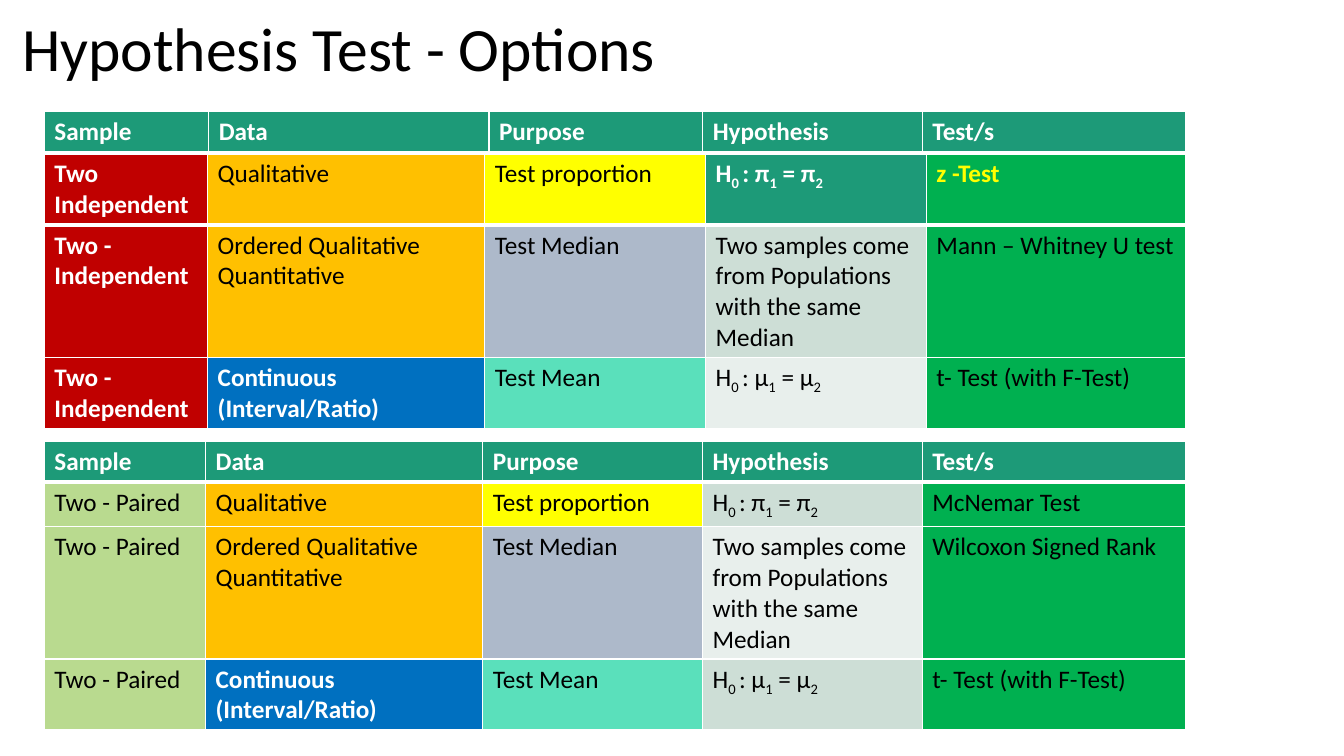
from dataclasses import dataclass

from lxml.etree import SubElement
from pptx import Presentation
from pptx.dml.color import RGBColor
from pptx.enum.text import MSO_ANCHOR as Anchor
from pptx.oxml.ns import qn
from pptx.util import Inches, Pt

FONT = "Calibri"
BLACK, WHITE, YELLOW = "000000", "FFFFFF", "FFFF00"
TEAL, RED, ORANGE, BLUE = "1D9A78", "C00000", "FFC000", "0070C0"
GREEN, LIME, SLATE, MINT = "00B050", "B9DA8F", "ADB9CA", "5AE0BB"
BAND_DARK, BAND_LIGHT = "CDDED6", "E8EFEC"
SLIDE_WIDTH, SLIDE_HEIGHT = Inches(13.33), Inches(7.5)
TABLE_LEFT = 3.3


@dataclass(frozen=True)
class Entry:
    text: str
    fill: str
    color: str = BLACK
    bold: bool = False


@dataclass(frozen=True)
class Grid:
    top: float
    columns: tuple[float, ...]
    rows: tuple[float, ...]
    entries: list[list[Entry]]


def across(percent: float) -> int:
    return round(SLIDE_WIDTH * percent / 100)


def down(percent: float) -> int:
    return round(SLIDE_HEIGHT * percent / 100)


def rgb(value: str) -> RGBColor:
    return RGBColor.from_string(value)


def style_font(font, size: float, color: str, bold: bool = False) -> None:
    font.name = FONT
    font.size = Pt(size)
    font.bold = bold
    font.color.rgb = rgb(color)


def add_border(cell, side: str, width: float) -> None:
    properties = cell._tc.get_or_add_tcPr()
    line = SubElement(properties, qn(f"a:ln{side}"), w=str(Pt(width)))
    fill = SubElement(line, qn("a:solidFill"))
    SubElement(fill, qn("a:srgbClr"), val=WHITE)


def write_entry(cell, entry: Entry) -> None:
    frame = cell.text_frame
    for index, line in enumerate(entry.text.split("\n")):
        para = frame.add_paragraph() if index else frame.paragraphs[0]
        style_font(para.font, 18, entry.color, entry.bold)
        for position, part in enumerate(line.split("~")):
            span = para.add_run()
            span.text = part
            if position % 2:
                span._r.get_or_add_rPr().set("baseline", "-25000")


def draw_grid(page, grid: Grid) -> None:
    table = page.shapes.add_table(
        len(grid.rows), len(grid.columns), across(TABLE_LEFT), down(grid.top),
        across(sum(grid.columns)), down(sum(grid.rows))).table
    table.first_row = False
    table.horz_banding = False
    for column, width in zip(table.columns, grid.columns):
        column.width = across(width)
    for index, (row, height) in enumerate(zip(table.rows, grid.rows)):
        row.height = down(height)
        widths = {"L": 1, "R": 1, "T": 3 if index == 1 else 1, "B": 1 if index else 3}
        for cell, entry in zip(row.cells, grid.entries[index]):
            for side, width in widths.items():
                add_border(cell, side, width)
            cell.fill.solid()
            cell.fill.fore_color.rgb = rgb(entry.fill)
            write_entry(cell, entry)


def add_title(page, text: str) -> None:
    box = page.shapes.add_textbox(across(0.9), down(1.2), across(86.27), down(11.2))
    frame = box.text_frame
    frame.word_wrap = True
    frame.vertical_anchor = Anchor.MIDDLE
    para = frame.paragraphs[0]
    para.line_spacing = 0.9
    style_font(para.font, 44, BLACK)
    para.add_run().text = text


def sample_rows(samples: list[Entry], proportion: Entry, median_fill: str,
                mean_fill: str, tests: list[Entry]) -> list[list[Entry]]:
    middles = [
        [Entry("Qualitative", ORANGE), Entry("Test proportion", YELLOW), proportion],
        [Entry("Ordered Qualitative\nQuantitative", ORANGE), Entry("Test Median", SLATE),
         Entry("Two samples come from Populations with the same Median", median_fill)],
        [Entry("Continuous (Interval/Ratio)", BLUE, WHITE, True), Entry("Test Mean", MINT),
         Entry("H~0 ~: μ~1~ = μ~2", mean_fill)],
    ]
    return [[sample, *middle, test] for sample, middle, test in zip(samples, middles, tests)]


PROPORTIONS = "H~0 ~: π~1~ = π~2"
HEADER = [Entry(name, TEAL, WHITE, True)
          for name in ("Sample", "Data", "Purpose", "Hypothesis", "Test/s")]
T_TEST = Entry("t- Test (with F-Test)", GREEN)
INDEPENDENT = sample_rows(
    [Entry(name, RED, WHITE, True)
     for name in ("Two Independent", "Two - Independent", "Two - Independent")],
    Entry(PROPORTIONS, TEAL, WHITE, True), BAND_DARK, BAND_LIGHT,
    [Entry("z -Test", GREEN, YELLOW, True), Entry("Mann – Whitney U test", GREEN), T_TEST])
PAIRED = sample_rows(
    [Entry("Two - Paired", LIME)] * 3, Entry(PROPORTIONS, BAND_DARK), BAND_LIGHT, BAND_DARK,
    [Entry("McNemar Test", GREEN), Entry("Wilcoxon Signed Rank", GREEN), T_TEST])

GRIDS = [
    Grid(58.4, (12, 20.63, 16.35, 16.35, 19.58), (5.4, 5.8, 17.5, 9.4), [HEADER, *PAIRED]),
    Grid(20.27, (12.15, 20.63, 16.43, 16.43, 19.28), (9.5, 17.5, 9.4), INDEPENDENT),
    Grid(14.8, (12.23, 20.86, 15.9, 16.35, 19.58), (5.4,), [HEADER]),
]


def main() -> None:
    deck = Presentation()
    deck.slide_width, deck.slide_height = SLIDE_WIDTH, SLIDE_HEIGHT
    page = deck.slides.add_slide(deck.slide_layouts[6])
    add_title(page, "Hypothesis Test - Options")
    for grid in GRIDS:
        draw_grid(page, grid)
    deck.save("out.pptx")


if __name__ == "__main__":
    main()
